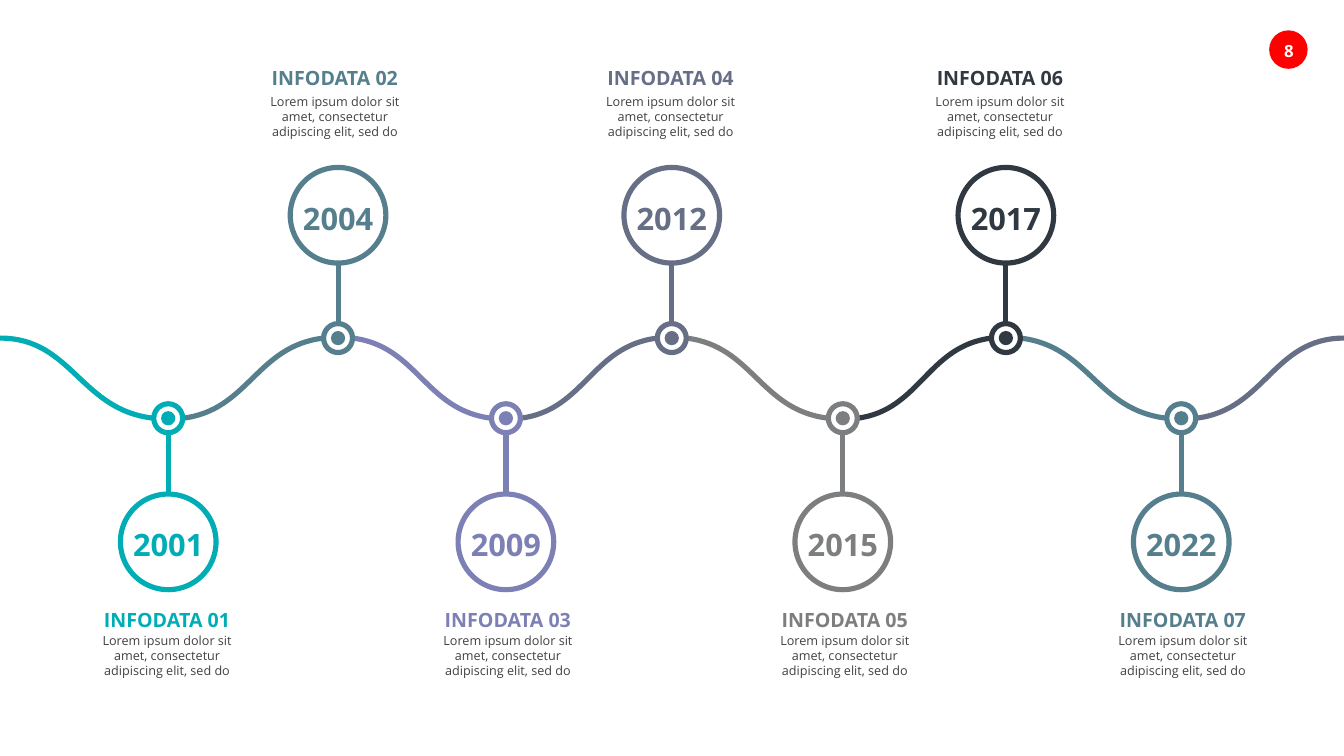
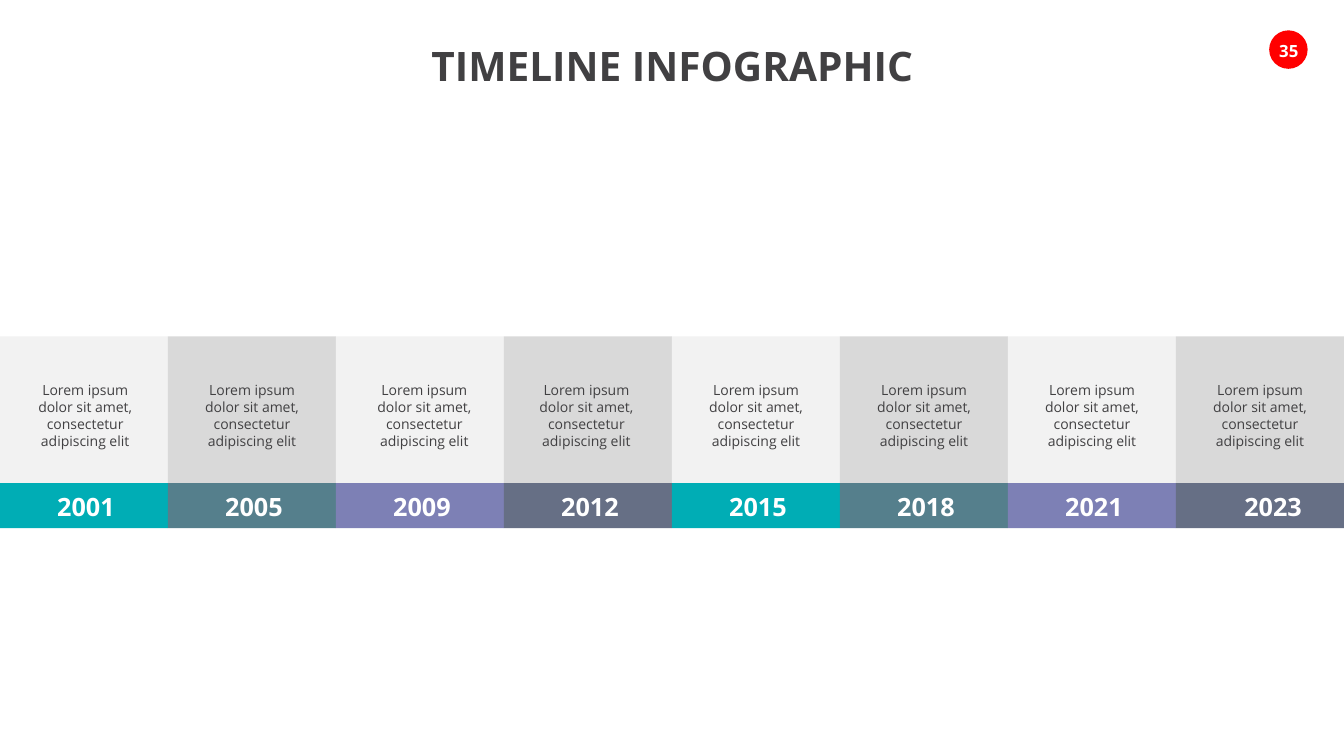
from dataclasses import dataclass

from lxml import etree
from pptx import Presentation
from pptx import util as u
from pptx.dml.color import RGBColor
from pptx.enum import shapes, text
from pptx.oxml.ns import qn


@dataclass(frozen=True)
class Theme:
    font: str = "Open Sans"
    teal: str = "00ADB5"
    steel: str = "557F8C"
    violet: str = "7D80B5"
    slate: str = "666F85"
    gray: str = "7C7E80"
    ink: str = "303841"
    body: str = "414042"
    white: str = "FFFFFF"
    badge: str = "FF0000"
    light: str = "F2F2F2"
    shade: str = "D9D9D9"
    title_size: int = 29
    milestone_size: int = 22
    year_size: int = 18
    heading_size: int = 14
    badge_size: int = 12
    column_size: int = 10
    caption_size: int = 9
    stroke: float = 0.13


@dataclass(frozen=True)
class Milestone:
    year: str
    x: float
    label_x: float
    color: str


@dataclass(frozen=True)
class Side:
    wave_y: float
    circle_top: float
    heading_top: float
    caption_top: float


@dataclass(frozen=True)
class Period:
    year: str
    body_shift: float = 0
    year_shift: float = 0.05


THEME = Theme()
SLIDE_W, SLIDE_H = 33.87, 19.05
NODE, DOT, CIRCLE = 0.73, 0.36, 2.41

BELOW = Side(wave_y=10.54, circle_top=12.45, heading_top=15.32, caption_top=15.82)
ABOVE = Side(wave_y=8.52, circle_top=4.22, heading_top=1.65, caption_top=2.24)

MILESTONES = [
    Milestone("2001", 4.24, 4.21, THEME.teal),
    Milestone("2004", 8.52, 8.44, THEME.steel),
    Milestone("2009", 12.75, 12.8, THEME.violet),
    Milestone("2012", 16.93, 16.9, THEME.slate),
    Milestone("2015", 21.24, 21.29, THEME.gray),
    Milestone("2017", 25.35, 25.2, THEME.ink),
    Milestone("2022", 29.77, 29.81, THEME.steel),
]
MILESTONE_TEXT = "Lorem ipsum dolor sit amet, consectetur adipiscing elit, sed do"

PERIODS = [
    Period("2001", body_shift=0.03),
    Period("2005"),
    Period("2009", body_shift=0.11),
    Period("2012", body_shift=-0.04),
    Period("2015"),
    Period("2018"),
    Period("2021"),
    Period("2023", year_shift=0.33),
]
PERIOD_TEXT = "Lorem ipsum dolor sit amet, consectetur adipiscing elit"
PERIOD_COLORS = [THEME.teal, THEME.steel, THEME.violet, THEME.slate]


def rgb(color: str) -> RGBColor:
    return RGBColor.from_string(color)


def write(slide, content: str, center: float, top: float, width: float, height: float, *,
          size: int, color: str = THEME.body, bold: bool = True,
          wrap: bool = False, padded: bool = False) -> None:
    box = slide.shapes.add_textbox(u.Cm(center - width / 2), u.Cm(top), u.Cm(width), u.Cm(height))
    frame = box.text_frame
    frame.word_wrap = wrap
    frame.auto_size = text.MSO_AUTO_SIZE.SHAPE_TO_FIT_TEXT
    if not padded:
        frame.margin_left = frame.margin_top = frame.margin_right = frame.margin_bottom = 0
    paragraph = frame.paragraphs[0]
    paragraph.alignment = text.PP_ALIGN.CENTER
    run = paragraph.add_run()
    run.text = content
    run.font.name = THEME.font
    run.font.size = u.Pt(size)
    run.font.bold = bold
    run.font.color.rgb = rgb(color)


def paint(shape, fill: str | None, line: str | None) -> None:
    shape.shadow.inherit = False
    if fill:
        shape.fill.solid()
        shape.fill.fore_color.rgb = rgb(fill)
    else:
        shape.fill.background()
    if line:
        shape.line.color.rgb = rgb(line)
        shape.line.width = u.Cm(THEME.stroke)
    else:
        shape.line.fill.background()


def draw(slide, kind, left: float, top: float, width: float, height: float, *,
         fill: str | None = None, line: str | None = None) -> None:
    shape = slide.shapes.add_shape(kind, u.Cm(left), u.Cm(top), u.Cm(width), u.Cm(height))
    paint(shape, fill, line)


def disc(slide, x: float, y: float, diameter: float, *,
         fill: str | None = None, line: str | None = None) -> None:
    draw(slide, shapes.MSO_SHAPE.OVAL, x - diameter / 2, y - diameter / 2,
         diameter, diameter, fill=fill, line=line)


def stem(slide, x: float, start: float, end: float, color: str) -> None:
    line = slide.shapes.add_connector(
        shapes.MSO_CONNECTOR.STRAIGHT, u.Cm(x), u.Cm(start), u.Cm(x), u.Cm(end))
    line.line.color.rgb = rgb(color)
    line.line.width = u.Cm(THEME.stroke)
    etree.SubElement(line._element.spPr, qn("a:effectLst"))


def curve(slide, points: list[tuple[float, float]], color: str) -> None:
    start, *rest = [(u.Cm(x), u.Cm(y)) for x, y in points]
    builder = slide.shapes.build_freeform(*start)
    builder.add_line_segments(rest, close=False)
    wave = builder.convert_to_shape()
    segments = list(wave._element.iter(qn("a:lnTo")))
    outline = segments[0].getparent()
    bezier = etree.SubElement(outline, qn("a:cubicBezTo"))
    for segment in segments:
        bezier.append(segment[0])
        outline.remove(segment)
    paint(wave, None, color)


def badge(slide, number: str) -> None:
    disc(slide, 32.47, 1.25, 0.97, fill=THEME.badge)
    write(slide, number, 32.48, 0.89, 1.09, 0.76,
          size=THEME.badge_size, color=THEME.white, padded=True)


def side_of(index: int) -> Side:
    return ABOVE if index % 2 else BELOW


def draw_wave(slide) -> None:
    stops = [0, *(milestone.x for milestone in MILESTONES), SLIDE_W]
    colors = [*(milestone.color for milestone in MILESTONES), THEME.slate]
    last = len(colors) - 1
    for index, color in enumerate(colors):
        x0 = stops[index] + (NODE / 2 if index > 0 else 0)
        x1 = stops[index + 1] - (NODE / 2 if index < last else 0)
        y0, y1 = side_of(index - 1).wave_y, side_of(index).wave_y
        lift0 = 0.1 * (y1 - y0) if index > 0 else 0
        lift1 = 0.1 * (y1 - y0) if index < last else 0
        run = x1 - x0
        curve(slide, [(x0, y0), (x0 + 0.47 * run, y0 + lift0),
                      (x0 + 0.52 * run, y1 - lift1), (x1, y1)], color)


def draw_milestone(slide, index: int, milestone: Milestone) -> None:
    side, x, color = side_of(index), milestone.x, milestone.color
    disc(slide, x, side.wave_y, DOT, fill=color)
    disc(slide, x, side.wave_y, NODE, line=color)
    if side is BELOW:
        stem(slide, x, side.wave_y + NODE / 2, side.circle_top, color)
    else:
        stem(slide, x, side.wave_y - NODE / 2, side.circle_top + CIRCLE, color)
    disc(slide, x, side.circle_top + CIRCLE / 2, CIRCLE, line=color)
    write(slide, milestone.year, x, side.circle_top + 0.81, 1.78, 0.94,
          size=THEME.milestone_size, color=color)
    write(slide, f"INFODATA {index + 1:02}", milestone.label_x, side.heading_top, 3.2, 0.61,
          size=THEME.heading_size, color=color)
    write(slide, MILESTONE_TEXT, milestone.label_x, side.caption_top, 4.29, 1.42,
          size=THEME.caption_size, bold=False, wrap=True, padded=True)


def wave_slide(slide) -> None:
    badge(slide, "8")
    draw_wave(slide)
    for index, milestone in enumerate(MILESTONES):
        draw_milestone(slide, index, milestone)


def column_slide(slide) -> None:
    badge(slide, "35")
    write(slide, "TIMELINE INFOGRAPHIC", 16.95, 1.04, 12.27, 1.24, size=THEME.title_size)
    width = SLIDE_W / len(PERIODS)
    panel_top, panel_height, band_height = 8.48, 3.69, 1.14
    band_top = panel_top + panel_height
    for index, period in enumerate(PERIODS):
        left = index * width
        center = left + width / 2
        draw(slide, shapes.MSO_SHAPE.RECTANGLE, left, band_top, width, band_height,
             fill=PERIOD_COLORS[index % len(PERIOD_COLORS)])
        draw(slide, shapes.MSO_SHAPE.RECTANGLE, left, panel_top, width, panel_height,
             fill=THEME.shade if index % 2 else THEME.light)
        write(slide, period.year, center + period.year_shift, band_top + 0.2, 1.47, 0.76,
              size=THEME.year_size, color=THEME.white)
        write(slide, PERIOD_TEXT, center + period.body_shift, panel_top + 1.02, 2.97, 1.96,
              size=THEME.column_size, bold=False, wrap=True, padded=True)


def main() -> None:
    deck = Presentation()
    deck.slide_width, deck.slide_height = u.Cm(SLIDE_W), u.Cm(SLIDE_H)
    blank = deck.slide_layouts[6]
    for build in (wave_slide, column_slide):
        build(deck.slides.add_slide(blank))
    deck.save("out.pptx")


if __name__ == "__main__":
    main()
